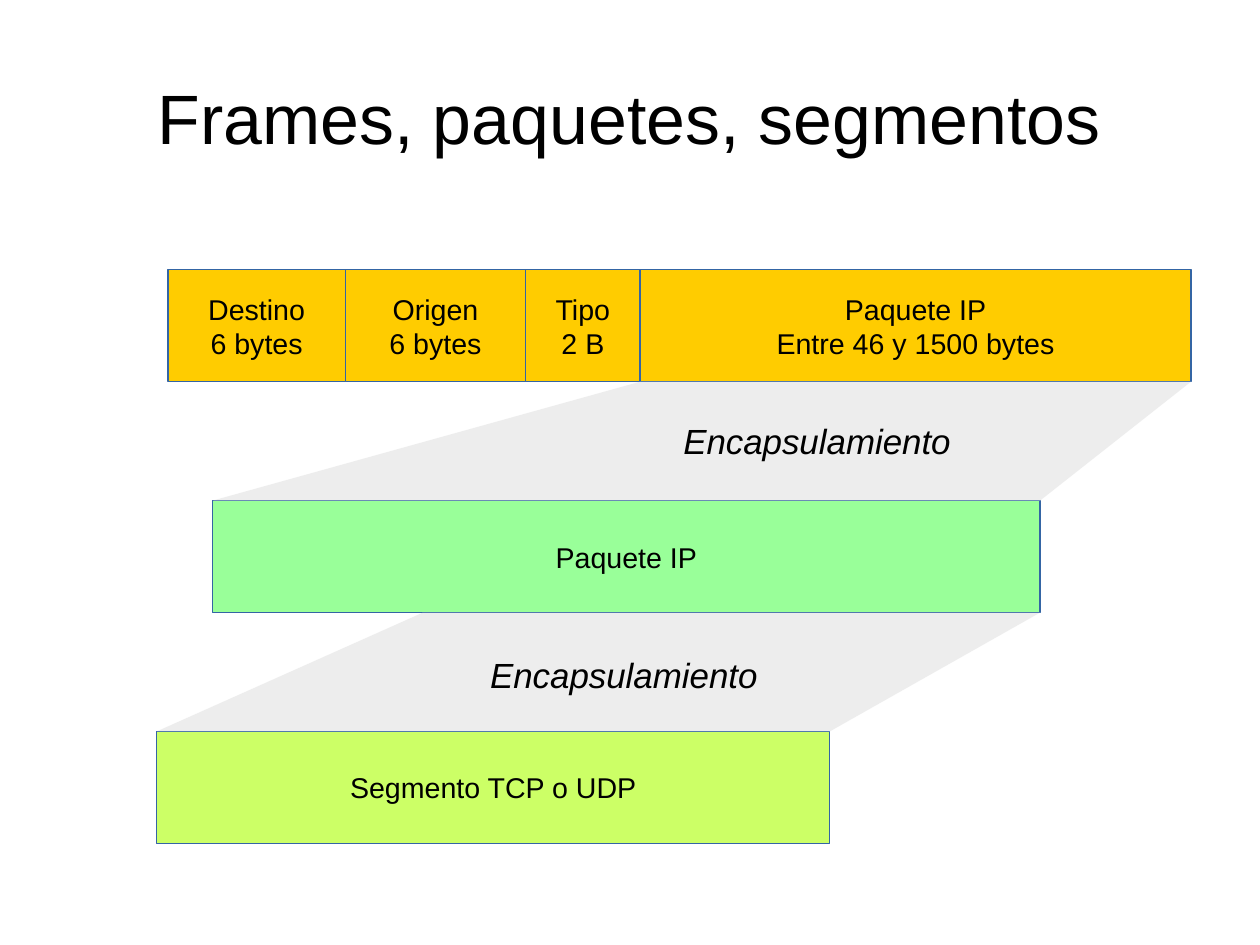
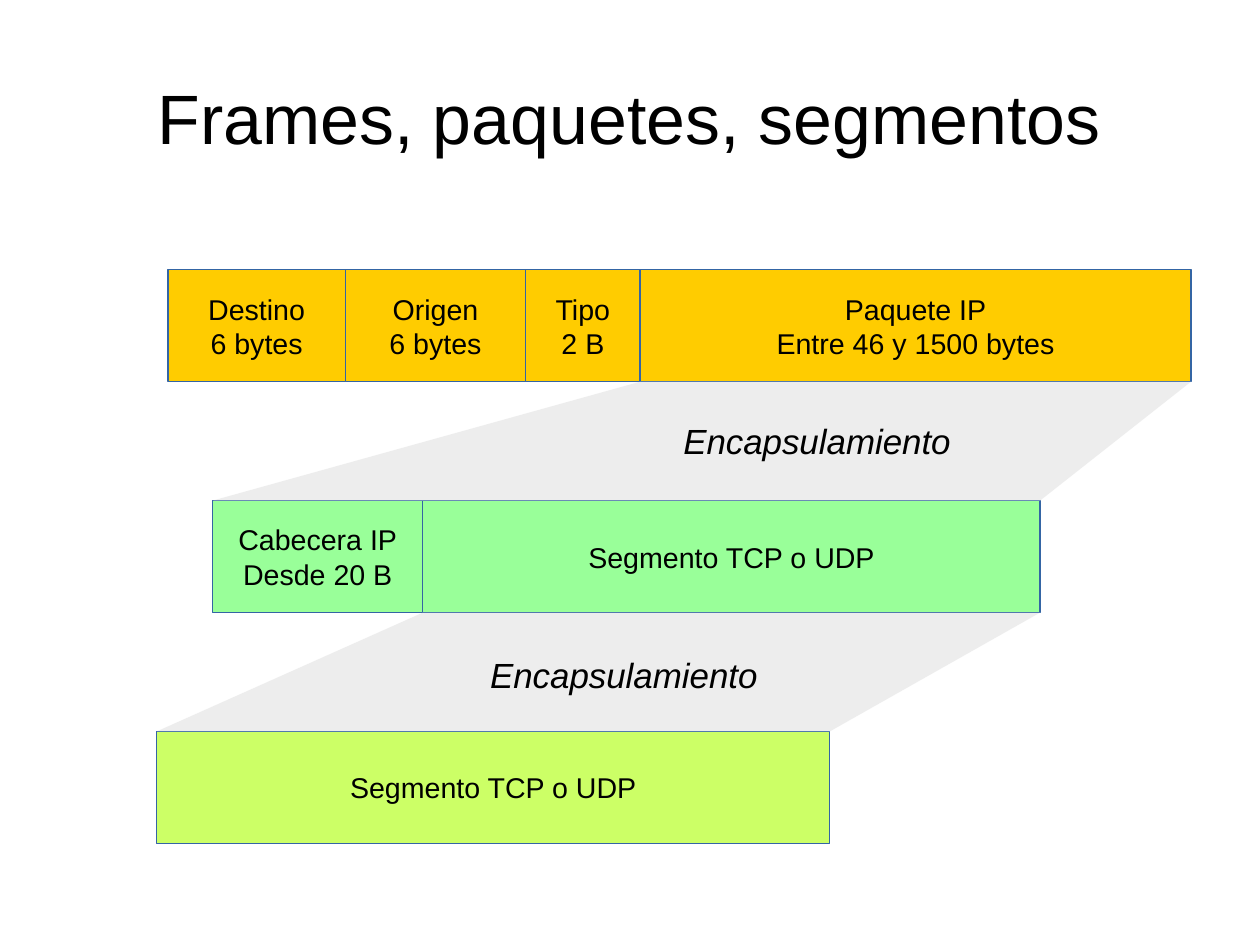
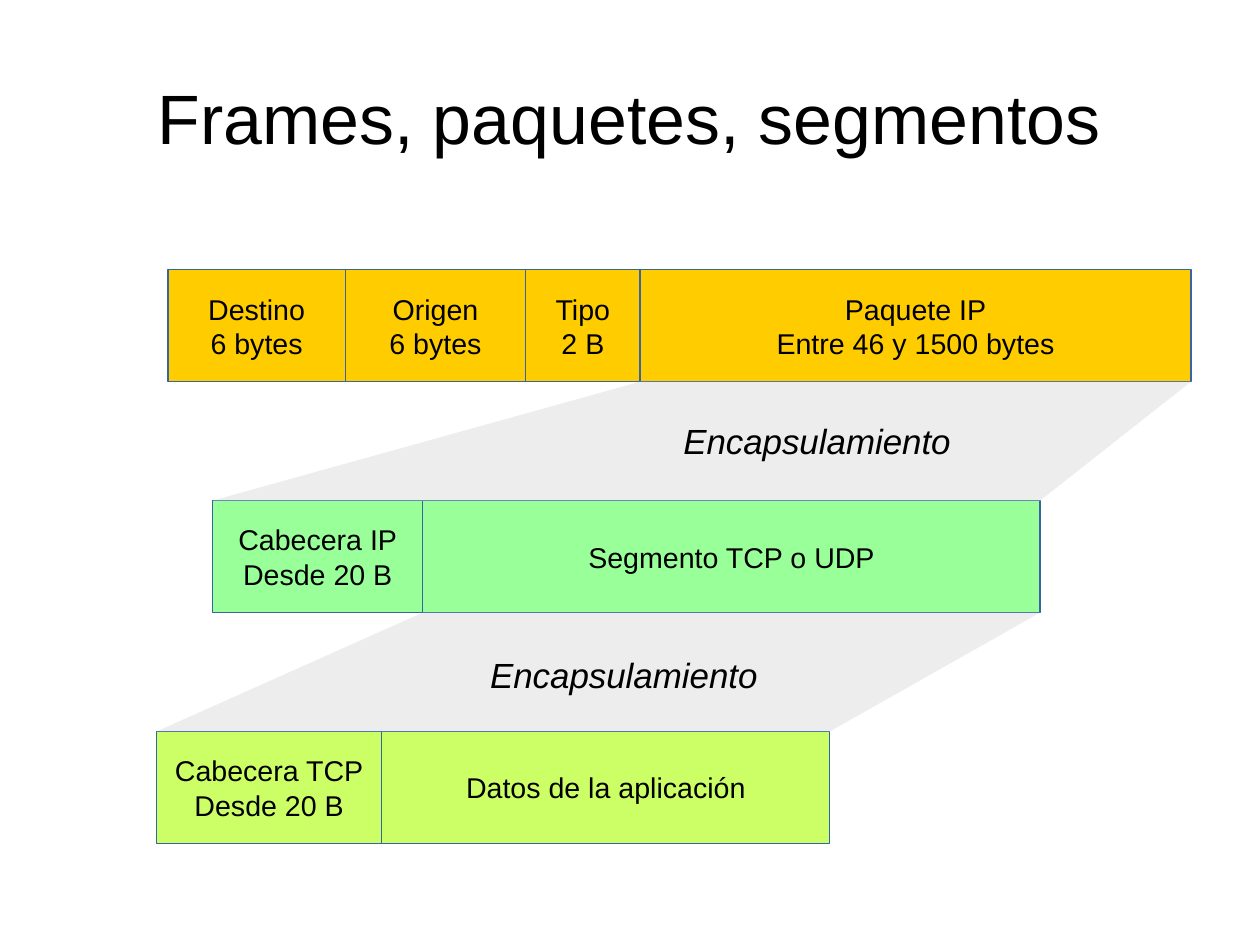
from itertools import pairwise

from lxml.etree import SubElement
from pptx import Presentation
from pptx.dml.color import RGBColor
from pptx.enum.shapes import MSO_SHAPE
from pptx.enum.text import MSO_ANCHOR, MSO_AUTO_SIZE, PP_ALIGN
from pptx.oxml.ns import qn
from pptx.util import Inches, Pt

# Page of 28 by 21 cm
CM_PER_INCH = 2.54
PAGE_WIDTH, PAGE_HEIGHT = Inches(28 / CM_PER_INCH), Inches(21 / CM_PER_INCH)

# Shared look
FONT = "Arial"
BLACK = RGBColor(0x00, 0x00, 0x00)
BORDER_BLUE = RGBColor(0x34, 0x65, 0xA4)
FUNNEL_GREY = RGBColor(0xDD, 0xDD, 0xDD)
FRAME_YELLOW = RGBColor(0xFF, 0xCC, 0x00)
PACKET_GREEN = RGBColor(0x99, 0xFF, 0x99)
SEGMENT_LIME = RGBColor(0xCC, 0xFF, 0x66)

# Vertical rhythm of the three rows, in inches
FIRST_TOP, ROW_STEP, ROW_HEIGHT = 2.36, 2.02, 0.98

# Horizontal extent of each row and where its payload starts
FRAME_LEFT, FRAME_PAYLOAD, FRAME_RIGHT = 1.47, 5.6, 10.42
PACKET_LEFT, PACKET_PAYLOAD, PACKET_RIGHT = 1.86, 3.7, 9.1
SEGMENT_LEFT, SEGMENT_PAYLOAD, SEGMENT_RIGHT = 1.37, 3.34, 7.26

# Each row: fill, cell edges, cell texts
FRAME = (FRAME_YELLOW, [FRAME_LEFT, 3.02, 4.6, FRAME_PAYLOAD, FRAME_RIGHT],
         ["Destino\n6 bytes", "Origen\n6 bytes", "Tipo\n2 B",
          "Paquete IP\nEntre 46 y 1500 bytes"])
PACKET_WHOLE = (PACKET_GREEN, [PACKET_LEFT, PACKET_RIGHT], ["Paquete IP"])
PACKET_SPLIT = (PACKET_GREEN, [PACKET_LEFT, PACKET_PAYLOAD, PACKET_RIGHT],
                ["Cabecera IP\nDesde 20 B", "Segmento TCP o UDP"])
SEGMENT_WHOLE = (SEGMENT_LIME, [SEGMENT_LEFT, SEGMENT_RIGHT],
                 ["Segmento TCP o UDP"])
SEGMENT_SPLIT = (SEGMENT_LIME, [SEGMENT_LEFT, SEGMENT_PAYLOAD, SEGMENT_RIGHT],
                 ["Cabecera TCP\nDesde 20 B", "Datos de la aplicación"])

# Each funnel: upper left and right, lower left and right, label offset
FUNNELS = [
    (FRAME_PAYLOAD, FRAME_RIGHT, PACKET_LEFT, PACKET_RIGHT, (0.28, 0.28)),
    (PACKET_PAYLOAD, PACKET_RIGHT, SEGMENT_LEFT, SEGMENT_RIGHT, (0.49, 0.31)),
]

SLIDES = [
    [FRAME, PACKET_WHOLE, SEGMENT_WHOLE],
    [FRAME, PACKET_SPLIT, SEGMENT_WHOLE],
    [FRAME, PACKET_SPLIT, SEGMENT_SPLIT],
]


def write_text(shape, text, size=18, italic=False, align=PP_ALIGN.CENTER,
               anchor=MSO_ANCHOR.MIDDLE, wrap=False, margins=(0.1, 0.05),
               auto_size=MSO_AUTO_SIZE.NONE):
    frame = shape.text_frame
    frame.text = text
    frame.word_wrap = wrap
    frame.auto_size = auto_size
    frame.vertical_anchor = anchor
    frame.margin_left = frame.margin_right = Inches(margins[0])
    frame.margin_top = frame.margin_bottom = Inches(margins[1])
    for paragraph in frame.paragraphs:
        paragraph.alignment = align
        font = paragraph.font
        font.name, font.size, font.italic = FONT, Pt(size), italic
        font.color.rgb = BLACK


def add_title(slide, text):
    title = slide.shapes.title
    title.left, title.top = Inches(0.55), Inches(0.33)
    title.width, title.height = Inches(9.92), Inches(1.38)
    write_text(title, text, size=44, wrap=True, margins=(0, 0))


def add_row(slide, top, fill, edges, texts):
    """Draw one data unit as a group of adjoining cells."""
    group = slide.shapes.add_group_shape()
    for (left, right), text in zip(pairwise(edges), texts):
        cell = group.shapes.add_shape(
            MSO_SHAPE.RECTANGLE, Inches(left), Inches(top),
            Inches(right - left), Inches(ROW_HEIGHT))
        cell.shadow.inherit = False
        cell.fill.solid()
        cell.fill.fore_color.rgb = fill
        cell.line.color.rgb = BORDER_BLUE
        cell.line.width = Pt(0)
        write_text(cell, text)


def add_funnel(slide, top, bottom, upper_left, upper_right,
               lower_left, lower_right, label_offset):
    """Link a payload to the row below it, with its label."""
    builder = slide.shapes.build_freeform(
        Inches(upper_left), Inches(top), scale=1.0)
    corners = [(upper_right, top), (lower_right, bottom), (lower_left, bottom)]
    builder.add_line_segments([(Inches(x), Inches(y)) for x, y in corners])
    funnel = builder.convert_to_shape()
    funnel.shadow.inherit = False
    funnel.line.fill.background()
    funnel.fill.solid()
    funnel.fill.fore_color.rgb = FUNNEL_GREY
    # Half transparent fill
    color = funnel.element.spPr.find(qn("a:solidFill"))[0]
    SubElement(color, qn("a:alpha")).set("val", "50000")

    offset_x, offset_y = label_offset
    label = slide.shapes.add_textbox(
        Inches(upper_left + offset_x), Inches(top + offset_y),
        Inches(2.54), Inches(0.44))
    write_text(label, "Encapsulamiento", size=22, italic=True,
               align=PP_ALIGN.LEFT, anchor=MSO_ANCHOR.TOP,
               auto_size=MSO_AUTO_SIZE.SHAPE_TO_FIT_TEXT)


def add_encapsulation_slide(presentation, rows):
    slide = presentation.slides.add_slide(presentation.slide_layouts[5])
    add_title(slide, "Frames, paquetes, segmentos")
    tops = [FIRST_TOP + index * ROW_STEP for index in range(len(rows))]
    for top, row in zip(tops, rows):
        add_row(slide, top, *row)
    for (top, next_top), funnel in zip(pairwise(tops), FUNNELS):
        add_funnel(slide, top + ROW_HEIGHT, next_top, *funnel)


def main():
    presentation = Presentation()
    presentation.slide_width = PAGE_WIDTH
    presentation.slide_height = PAGE_HEIGHT
    for rows in SLIDES:
        add_encapsulation_slide(presentation, rows)
    presentation.save("out.pptx")


if __name__ == "__main__":
    main()
